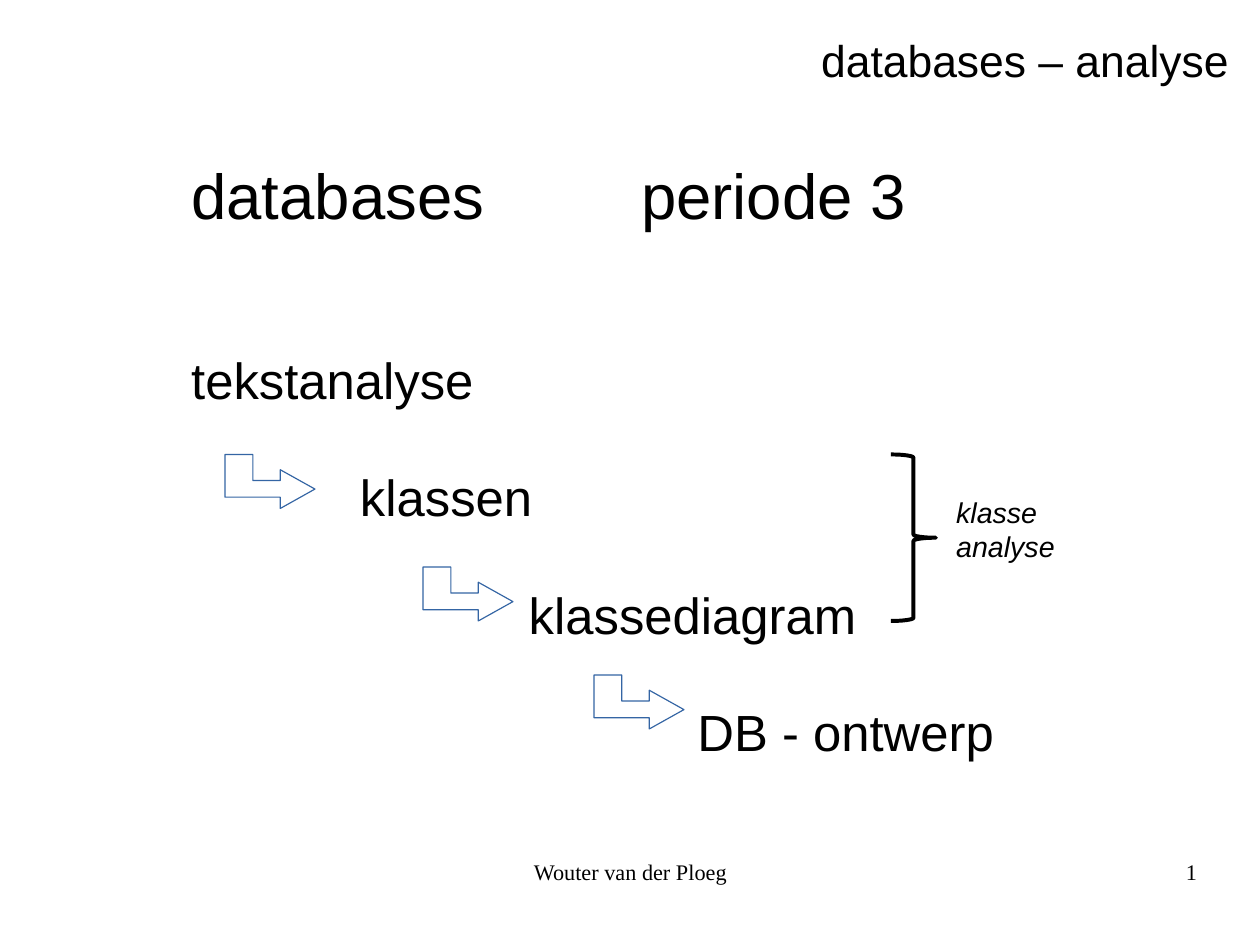
from dataclasses import dataclass

from lxml import etree
from pptx import Presentation
from pptx import util as u
from pptx.dml.color import RGBColor
from pptx.enum import shapes, text
from pptx.oxml import ns

Cm, Pt = u.Cm, u.Pt


@dataclass(frozen=True)
class Theme:
    ink: RGBColor = RGBColor(0x00, 0x00, 0x00)
    paper: RGBColor = RGBColor(0xFF, 0xFF, 0xFF)
    arrow: RGBColor = RGBColor(0x34, 0x65, 0xA4)
    sans: str = "Arial"
    serif: str = "Times New Roman"
    header: int = 28
    title: int = 40
    step: int = 32
    note: int = 18
    footer: int = 14
    spacing: float = 0.94
    gap: float = 37.8


theme = Theme()

STEPS = ["tekstanalyse", "klassen", "klassediagram", "DB - ontwerp"]
STEP_INDENT = 3.75
TITLE_TAB = 10
ARROW_OUTLINE = [
    (1.23, 0.34), (1.23, 0.58), (0.62, 0.58), (0.62, 0), (0, 0),
    (0, 0.95), (1.23, 0.95), (1.23, 1.2), (2, 0.77),
]
ARROW_SPOTS = [(5, 10.1), (9.4, 12.6), (13.2, 15)]


def add_frame(s, box, side=0.25, top=0.2):
    tf = s.shapes.add_textbox(*map(Cm, box)).text_frame
    tf.word_wrap = True
    tf.margin_left = tf.margin_right = Cm(side)
    tf.margin_top, tf.margin_bottom = Cm(top), 0
    return tf


def write(p, words, size, name=theme.sans, spacing=theme.spacing):
    p.text = words
    p.line_spacing = spacing
    p.font.size = Pt(size)
    p.font.name = name
    p.font.color.rgb = theme.ink


def style(sp, line, width):
    sp.shadow.inherit = False
    sp.fill.solid()
    sp.fill.fore_color.rgb = theme.paper
    sp.line.color.rgb = line
    sp.line.width = Pt(width)


def add_header(s, box):
    write(add_frame(s, box).paragraphs[0], "databases – analyse", theme.header)


def add_steps(s, box):
    tf = add_frame(s, box)
    p = tf.paragraphs[0]
    tabs = etree.SubElement(p._p.get_or_add_pPr(), ns.qn("a:tabLst"))
    etree.SubElement(tabs, ns.qn("a:tab"), pos=str(Cm(TITLE_TAB)), algn="l")
    write(p, "databases\tperiode 3", theme.title)
    for level, step in enumerate(STEPS):
        p = tf.add_paragraph()
        write(p, step, theme.step)
        p.space_before = Pt(theme.gap if level else 2 * theme.gap)
        p._p.get_or_add_pPr().set("marL", str(Cm(level * STEP_INDENT)))


def add_arrow(s, left, top):
    points = [(Cm(left + x), Cm(top + y)) for x, y in ARROW_OUTLINE]
    builder = s.shapes.build_freeform(*points[0])
    builder.add_line_segments(points[1:], close=True)
    style(builder.convert_to_shape(), theme.arrow, 0.75)


def add_class_analysis(s, box):
    left, top, width, height = box
    brace = s.shapes.add_shape(
        shapes.MSO_SHAPE.RIGHT_BRACE, Cm(left), Cm(top), Cm(1), Cm(height))
    brace.adjustments[0] = 0.07
    style(brace, theme.ink, 2.5)
    tf = add_frame(s, (left + 1.2, top + 0.76, width - 1.2, 1.8), top=0.13)
    for i, words in enumerate(["klasse", "analyse"]):
        p = tf.add_paragraph() if i else tf.paragraphs[0]
        write(p, words, theme.note, spacing=1.0)
        p.font.italic = True


def add_footer(s, box):
    left, top, width, height = box
    parts = [
        ("Wouter van der Ploeg", left, 8.86, text.PP_ALIGN.CENTER),
        ("1", left + width - 6.53, 6.53, text.PP_ALIGN.RIGHT),
    ]
    for words, x, w, align in parts:
        p = add_frame(s, (x, top, w, height), side=0, top=0).paragraphs[0]
        write(p, words, theme.footer, theme.serif)
        p.alignment = align


def main():
    prs = Presentation()
    prs.slide_width, prs.slide_height = Cm(28), Cm(21)
    s = prs.slides.add_slide(prs.slide_layouts[6])
    add_footer(s, (9.58, 19.13, 17.02, 1.45))
    add_header(s, (18, 0.64, 9.9, 1.35))
    add_steps(s, (4, 3.4, 18.7, 13.23))
    for spot in ARROW_SPOTS:
        add_arrow(s, *spot)
    add_class_analysis(s, (19.8, 10.1, 4.3, 3.7))
    prs.save("out.pptx")


if __name__ == "__main__":
    main()
